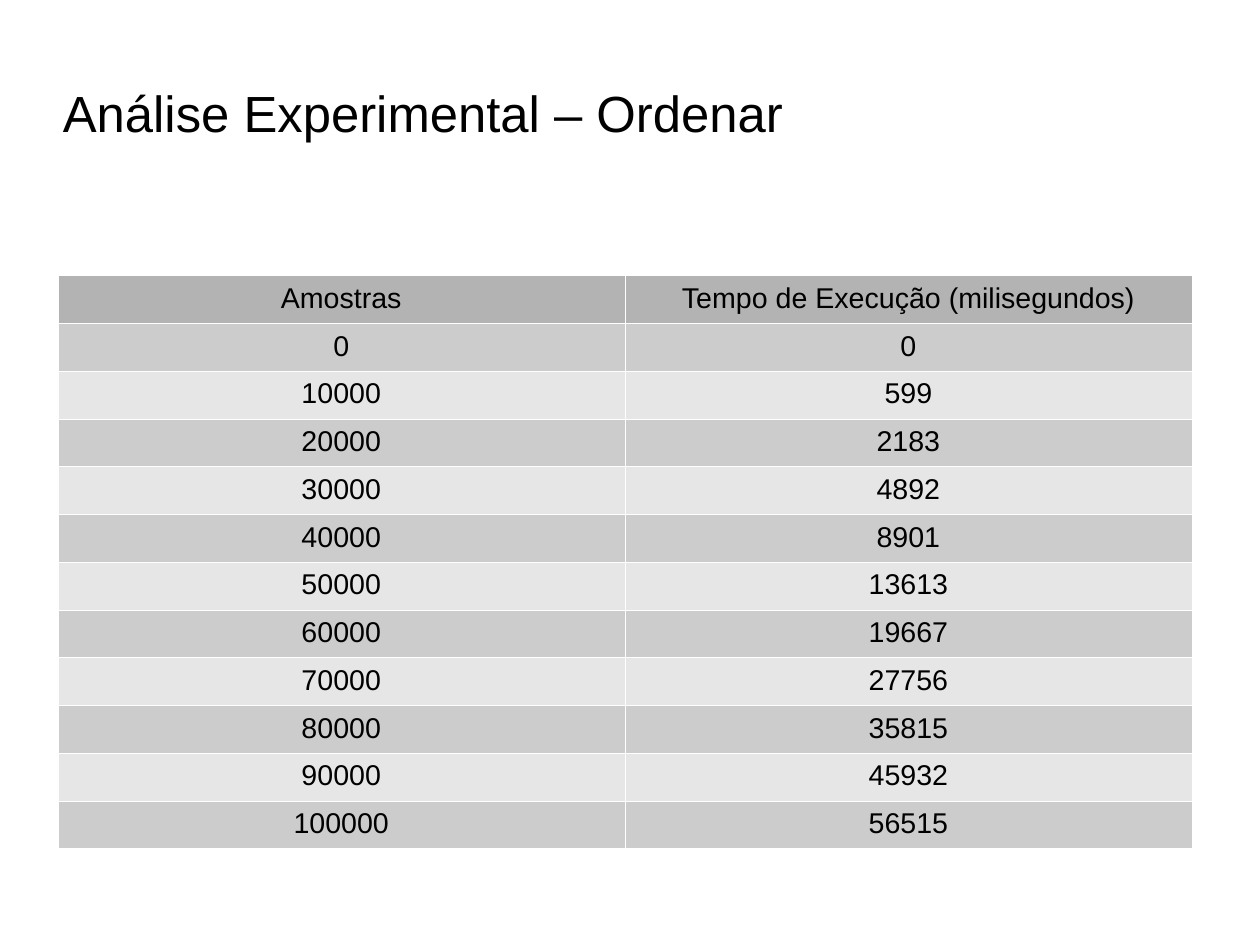
"""Build the slide with the sorting times table."""
from lxml.etree import SubElement
from pptx import Presentation
from pptx.dml.color import RGBColor
from pptx.enum.text import MSO_ANCHOR, PP_ALIGN
from pptx.oxml.ns import qn
from pptx.util import Pt

BLACK = RGBColor(0x00, 0x00, 0x00)
WHITE = RGBColor(0xFF, 0xFF, 0xFF)
HEAD = RGBColor(0xB3, 0xB3, 0xB3)
DARK = RGBColor(0xCC, 0xCC, 0xCC)
LIGHT = RGBColor(0xE6, 0xE6, 0xE6)
TIMES = [0, 599, 2183, 4892, 8901, 13613, 19667, 27756, 35815, 45932, 56515]


def style(para, size, align, space):
    para.alignment = align
    para.line_spacing = space
    for run in para.runs:
        run.font.name = "Arial"
        run.font.size = Pt(size)
        run.font.color.rgb = BLACK


def border(cell):
    props = cell._tc.get_or_add_tcPr()
    for side in ("lnL", "lnR", "lnT", "lnB"):
        line = SubElement(props, qn(f"a:{side}"), w=str(Pt(0.06)))
        fill = SubElement(line, qn("a:solidFill"))
        SubElement(fill, qn("a:srgbClr"), val=str(WHITE))


deck = Presentation()
deck.slide_width, deck.slide_height = Pt(793.6), Pt(595.3)
slide = deck.slides.add_slide(deck.slide_layouts[5])

title = slide.shapes.title
title.left, title.top, title.width, title.height = Pt(39.6), Pt(22.3), Pt(553), Pt(97.9)
frame = title.text_frame
frame.text = "Análise Experimental – Ordenar"
frame.vertical_anchor = MSO_ANCHOR.MIDDLE
frame.margin_left = frame.margin_right = frame.margin_bottom = 0
frame.margin_top = Pt(2.9)
style(frame.paragraphs[0], 32, PP_ALIGN.LEFT, 0.94)

rows = [("Amostras", "Tempo de Execução (milisegundos)")]
rows += [(10000 * step, time) for step, time in enumerate(TIMES)]
table = slide.shapes.add_table(
    len(rows), 2, Pt(36.3), Pt(173.5), Pt(714.4), Pt(361.2)).table

for r, row in enumerate(rows):
    for c, value in enumerate(row):
        cell = table.cell(r, c)
        cell.text_frame.text = str(value)
        style(cell.text_frame.paragraphs[0], 18, PP_ALIGN.CENTER, 0.89)
        cell.margin_left = cell.margin_right = Pt(7.2)
        cell.margin_top, cell.margin_bottom = Pt(6.5), Pt(3.6)
        border(cell)
        cell.fill.solid()
        cell.fill.fore_color.rgb = HEAD if r == 0 else DARK if r % 2 else LIGHT

deck.save("out.pptx")
